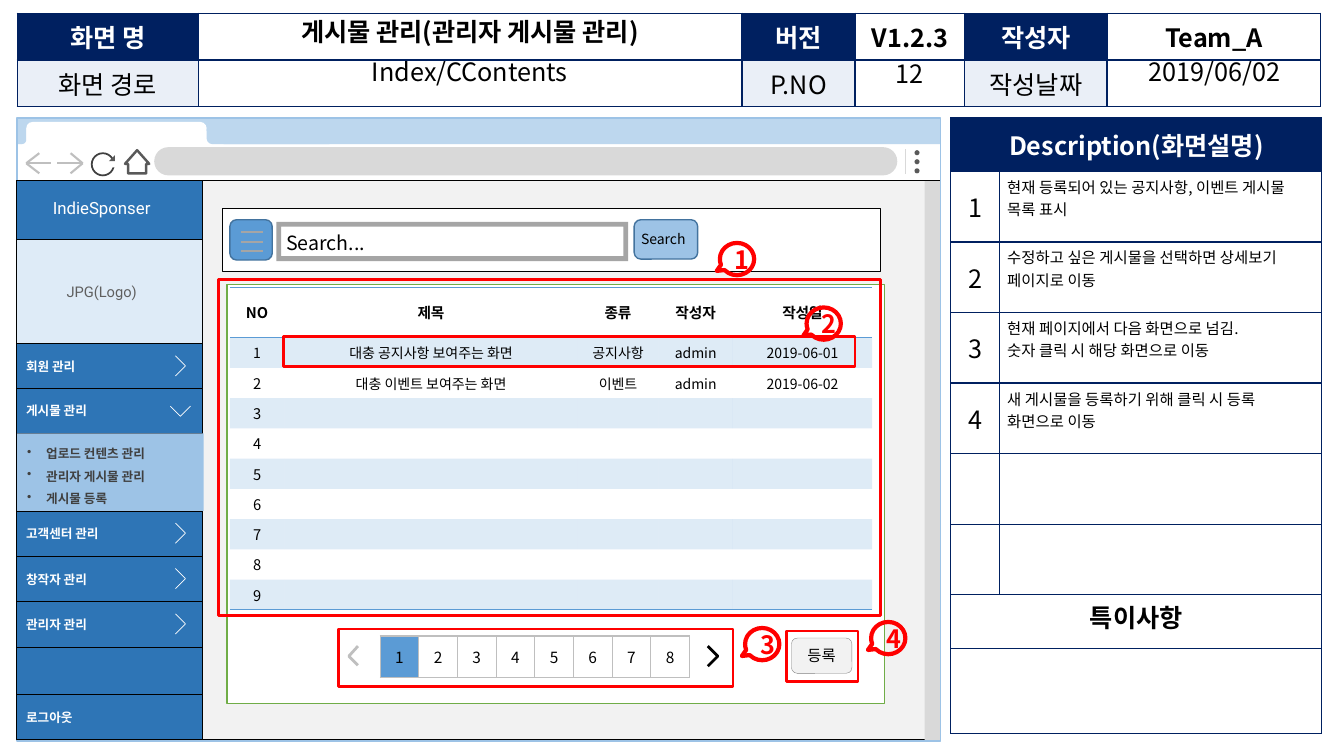
from pptx import Presentation
from pptx.dml.color import RGBColor
from pptx.enum.shapes import MSO_CONNECTOR, MSO_SHAPE
from pptx.enum.text import MSO_ANCHOR, PP_ALIGN
from pptx.oxml.ns import qn
from pptx.util import Inches, Pt
from lxml import etree

RECT, ROUND, OVAL = MSO_SHAPE.RECTANGLE, MSO_SHAPE.ROUNDED_RECTANGLE, MSO_SHAPE.OVAL
TRIANGLE, DOWN_ARROW = MSO_SHAPE.ISOSCELES_TRIANGLE, MSO_SHAPE.DOWN_ARROW
FRAME, CALLOUT = MSO_SHAPE.FRAME, MSO_SHAPE.OVAL_CALLOUT
STRAIGHT = MSO_CONNECTOR.STRAIGHT
TOP, MIDDLE = MSO_ANCHOR.TOP, MSO_ANCHOR.MIDDLE
LEFT, CENTER = PP_ALIGN.LEFT, PP_ALIGN.CENTER
NOTO, ROBOTO = "Noto Sans CJK KR", "Roboto"
NAVY, BLUE, SKY, RED = "002060", "2E75B6", "5B9BD5", "FF0000"
WHITE, BLACK, GREY = "FFFFFF", "000000", "BFBFBF"
MENU_INSETS = (0.1, 0.05, 0.25, 0.05)


def rgb(value):
    """Turn a hex string into a colour."""
    return RGBColor.from_string(value)


def write(tf, text, size=18, color=BLACK, bold=False, font=NOTO, align=CENTER,
          anchor=MIDDLE, insets=(0.1, 0.05, 0.1, 0.05), spacing=None, bullet=None):
    """Fill a text frame, one paragraph per line of text."""
    tf.word_wrap = True
    tf.vertical_anchor = anchor
    tf.margin_left, tf.margin_top, tf.margin_right, tf.margin_bottom = map(Inches, insets)
    for i, line in enumerate(text.split("\n")):
        p = tf.add_paragraph() if i else tf.paragraphs[0]
        p.alignment = align
        if spacing:
            p.line_spacing = spacing
        if bullet:
            pPr = p._p.get_or_add_pPr()
            pPr.set("marL", str(Inches(0.19)))
            pPr.set("indent", str(-Inches(0.19)))
            etree.SubElement(pPr, qn("a:buChar"), char=bullet)
        r = p.add_run()
        r.text = line
        r.font.size, r.font.bold, r.font.name = Pt(size), bold, font
        r.font.color.rgb = rgb(color)
        etree.SubElement(r._r.get_or_add_rPr(), qn("a:ea"), typeface=NOTO)


class Painter:
    """Draw styled elements on the current slide."""

    def __init__(self, slide):
        """Keep the slide's shapes."""
        self.shapes = slide.shapes

    def outline(self, sp, line, width):
        """Set or remove an outline."""
        if line:
            sp.line.color.rgb = rgb(line)
            sp.line.width = Pt(width)
        else:
            sp.line.fill.background()

    def shape(self, at, fill=None, line=None, width=0.5, kind=RECT, adj=(), rotation=0,
              text=None, **style):
        """Add a preset shape with optional text."""
        sp = self.shapes.add_shape(kind, *map(Inches, at))
        sp.shadow.inherit = False
        sp.rotation = rotation
        for i, value in enumerate(adj):
            sp.adjustments[i] = value
        if fill:
            sp.fill.solid()
            sp.fill.fore_color.rgb = rgb(fill)
        else:
            sp.fill.background()
        self.outline(sp, line, width)
        if text:
            write(sp.text_frame, text, **style)

    def text(self, at, text, **style):
        """Add a text box."""
        write(self.shapes.add_textbox(*map(Inches, at)).text_frame, text, **style)

    def line(self, start, end, color, width):
        """Add a straight line."""
        sp = self.shapes.add_connector(STRAIGHT, *map(Inches, start + end))
        self.outline(sp, color, width)
        etree.SubElement(sp._element.spPr, qn("a:effectLst"))

    def chevron(self, points, color=WHITE, width=0.5):
        """Add an open angle through three points."""
        pts = [(Inches(x), Inches(y)) for x, y in points]
        builder = self.shapes.build_freeform(*pts[0])
        builder.add_line_segments(pts[1:], close=False)
        sp = builder.convert_to_shape()
        sp.shadow.inherit = False
        sp.fill.background()
        self.outline(sp, color, width)

    def table(self, at, cols, rows):
        """Add a plain table with the given column widths and row heights."""
        x, y = map(Inches, at)
        table = self.shapes.add_table(len(rows), len(cols), x, y, Inches(sum(cols)),
                                      Inches(sum(rows))).table
        table.first_row = table.horz_banding = False
        for column, width in zip(table.columns, cols):
            column.width = Inches(width)
        for row, height in zip(table.rows, rows):
            row.height = Inches(height)
        return table

    def cell(self, cell, text="", fill=None, alpha=None, line=NAVY, sides="LRTB", **style):
        """Style one cell with its borders, fill and text."""
        tcPr = cell._tc.get_or_add_tcPr()
        for side in "LRTB":
            ln = etree.SubElement(tcPr, qn("a:ln" + side), w=str(Pt(1)))
            if side in sides:
                solid = etree.SubElement(ln, qn("a:solidFill"))
                etree.SubElement(solid, qn("a:srgbClr"), val=line)
            else:
                etree.SubElement(ln, qn("a:noFill"))
        if fill:
            cell.fill.solid()
            cell.fill.fore_color.rgb = rgb(fill)
            if alpha:
                etree.SubElement(tcPr.find(qn("a:solidFill"))[0], qn("a:alpha"),
                                 val=str(alpha * 1000))
        else:
            cell.fill.background()
        if text:
            write(cell.text_frame, text, **style)
            cell.vertical_anchor = style.get("anchor", MIDDLE)
            insets = style.get("insets", (0.08, 0.04, 0.08, 0.04))
            cell.margin_left, cell.margin_top, cell.margin_right, cell.margin_bottom = map(
                Inches, insets)
        else:
            cell.margin_top = cell.margin_bottom = 0
            etree.SubElement(cell.text_frame.paragraphs[0]._p, qn("a:endParaRPr"), sz="1000")


def draw_browser(s):
    """Draw the browser window and its toolbar."""
    s.shape((0.16, 1.78, 9.16, 5.56), "F2F2F2", BLACK)
    s.shape((9.17, 1.79, 0.16, 5.55), "D9D9D9")
    s.shape((0.17, 1.42, 9.16, 0.37), WHITE, BLACK)
    s.shape((1.53, 1.46, 7.37, 0.28), "D9D9D9", kind=ROUND, adj=[0.5])
    for i in range(3):
        s.shape((9.07, 1.49 + 0.09 * i, 0.05, 0.05), "595959", kind=OVAL)
    s.line((8.98, 1.48), (8.98, 1.73), "D9D9D9", 1)
    s.shape((0.17, 1.17, 9.16, 0.26), "BDD7EE")
    for tip, tail, head in [(0.26, 0.51, 0.39), (0.82, 0.57, 0.7)]:
        for end in [(tail, 1.62), (head, 1.52), (head, 1.72)]:
            s.line((tip, 1.62), end, GREY, 1.5)
    s.shape((0.91, 1.52, 0.22, 0.22), None, "404040", 1.25, OVAL)
    s.shape((1.09, 1.58, 0.08, 0.08), WHITE)
    s.shape((1.08, 1.54, 0.06, 0.06), "595959", kind=TRIANGLE, adj=[1])
    s.shape((1.24, 1.49, 0.24, 0.23), WHITE, "595959", 1.75, DOWN_ARROW, [0.75, 0.586], 180)
    for at, fill, adj in [((0.26, 1.21, 1.79, 0.23), WHITE, 0.276),
                          ((1.88, 1.3, 0.34, 0.15), WHITE, 0.167),
                          ((2.05, 1.23, 1.27, 0.2), "BDD7EE", 0.276),
                          ((0.21, 1.3, 0.13, 0.15), WHITE, 0.167),
                          ((0.17, 1.23, 0.09, 0.2), "BDD7EE", 0.462)]:
        s.shape(at, fill, kind=ROUND, adj=[adj])
    s.shape((0.17, 1.17, 9.16, 6.18), None, "9DC3E6", 1)


def draw_header(s):
    """Draw the document header table."""
    table = s.table((0.17, 0.13), [1.8, 5.39, 1.12, 1.09, 1.41, 2.12], [0.465, 0.465])
    rows = [["화면 명", "", "버전", "V1.2.3", "작성자", "Team_A"],
            ["화면 경로", "", "P.NO", "", "작성날짜", ""]]
    for i, row in enumerate(rows):
        for j, text in enumerate(row):
            label = j % 2 == 0
            fill = (NAVY, "EAEFF7")[i] if label else WHITE
            s.cell(table.cell(i, j), text, fill, bold=i == 0,
                   color=WHITE if label and i == 0 else BLACK)


def draw_menu(s):
    """Draw the side menu."""
    s.shape((0.16, 1.79, 1.85, 5.55), BLUE, BLACK, text="IndieSponser", size=12, color=WHITE,
            font=ROBOTO, anchor=TOP, insets=(0.1, 0.17, 0.25, 0.05))
    s.shape((0.16, 2.38, 1.85, 1.03), "DEEBF7", BLACK, text="JPG(Logo)", size=10.5,
            color="5F5F5F", font=ROBOTO, insets=MENU_INSETS)
    label = dict(size=9, bold=True, font=ROBOTO, align=LEFT, insets=MENU_INSETS)
    for y, text in [(6.89, "로그아웃"), (3.41, "회원 관리"), (3.85, "게시물 관리"),
                    (5.07, "고객센터 관리"), (5.52, "창작자 관리"), (5.97, "관리자 관리")]:
        s.shape((0.16, y, 1.85, 0.45), BLUE, BLACK, text=text, color=WHITE, **label)
    for y in (3.63, 5.29, 5.74, 6.19):
        s.chevron([(1.74, y + 0.1), (1.84, y), (1.74, y - 0.1)])
    s.chevron([(1.69, 4.03), (1.79, 4.13), (1.89, 4.03)])
    s.shape((0.17, 4.3, 1.85, 0.77), "9DC3E6", color="404040", spacing=1.5, bullet="•",
            text="업로드 컨텐츠 관리\n관리자 게시물 관리\n게시물 등록", **label)


def draw_description(s):
    """Draw the description table."""
    table = s.table((9.43, 1.17), [0.48, 3.2], [0.53] + [0.7] * 6 + [0.53, 0.85])
    for i in (0, 7, 8):
        table.cell(i, 0).merge(table.cell(i, 1))
    notes = ["현재 등록되어 있는 공지사항, 이벤트 게시물 목록 표시",
             "수정하고 싶은 게시물을 선택하면 상세보기 페이지로 이동",
             "현재 페이지에서 다음 화면으로 넘김.\n숫자 클릭 시 해당 화면으로 이동",
             "새 게시물을 등록하기 위해 클릭 시 등록 화면으로 이동", "", ""]
    insets = (0.08, 0.04, 0.08, 0.04)
    s.cell(table.cell(0, 0), "Description(화면설명)", NAVY, color=WHITE, bold=True)
    for i, note in enumerate(notes, 1):
        s.cell(table.cell(i, 0), str(i) if note else "", insets=insets)
        s.cell(table.cell(i, 1), note, size=11, align=LEFT, anchor=TOP, insets=insets)
    s.cell(table.cell(7, 0), "특이사항", bold=True, anchor=TOP, insets=insets)
    for i, j in [(8, 0), (0, 1), (7, 1), (8, 1)]:
        s.cell(table.cell(i, j))


def draw_board(s):
    """Draw the search bar, post list and pager."""
    s.shape((2.21, 2.07, 6.52, 0.62), WHITE, BLACK)
    s.shape((2.28, 2.18, 0.42, 0.4), SKY, "43739E", 1, ROUND)
    for y in (2.3, 2.4, 2.49):
        s.line((2.39, y), (2.61, y), "A5A5A5", 1.5)
    s.shape((2.74, 2.2, 3.49, 0.39), "A5A5A5", kind=FRAME, adj=[0.125])
    s.text((2.74, 2.24, 1.11, 0.34), "Search...", size=14, align=LEFT, anchor=TOP)
    s.shape((6.29, 2.18, 0.63, 0.39), "9DC3E6", "43739E", 1, ROUND)
    s.text((6.26, 2.24, 0.76, 0.27), "Search", size=10, align=LEFT, anchor=TOP)
    s.shape((2.25, 2.82, 6.52, 4.16), WHITE, "70AD47", 1)
    s.shape((2.17, 2.77, 6.56, 3.34), None, RED, 2)
    posts = [["NO", "제목", "종류", "작성자", "작성일"],
             ["1", "대충 공지사항 보여주는 화면", "공지사항", "admin", "2019-06-01"],
             ["2", "대충 이벤트 보여주는 화면", "이벤트", "admin", "2019-06-02"]]
    posts += [[str(n)] + [""] * 4 for n in range(3, 10)]
    table = s.table((2.28, 2.85), [0.54, 2.91, 0.8, 0.74, 1.38], [0.5] + [0.3] * 9)
    for i, row in enumerate(posts):
        for j, text in enumerate(row):
            s.cell(table.cell(i, j), text, SKY if i % 2 else None, 20, SKY,
                   {0: "TB", 1: "T", 9: "B"}.get(i, ""), bold=i == 0,
                   size=10.5 if i == 0 or (j == 0 and i > 1) else 10,
                   insets=(0.1, 0.03, 0.1, 0.03))
    s.shape((2.81, 3.34, 5.67, 0.3), None, RED, 2)
    pager = s.table((3.77, 6.31), [3.07 / 8] * 8, [0.41])
    for i in range(8):
        s.cell(pager.cell(0, i), str(i + 1), WHITE if i else SKY, line=GREY, size=11)
    s.chevron([(7.02, 6.61), (7.12, 6.51), (7.02, 6.41)], BLACK, 2)
    s.chevron([(3.55, 6.41), (3.46, 6.51), (3.55, 6.6)], GREY, 2)
    s.shape((3.36, 6.24, 3.91, 0.57), None, RED, 2)
    s.shape((7.8, 6.26, 0.71, 0.5), None, RED, 2)
    s.shape((7.85, 6.33, 0.6, 0.35), "F2F2F2", "808080", 0.25, ROUND, text="등록", size=11,
            font=ROBOTO, insets=(0.1, 0, 0.1, 0.01))
    for n, (x, y) in enumerate([(7.14, 2.41), (8, 3.05), (7.39, 6.23), (8.64, 6.17)], 1):
        s.shape((x, y, 0.34, 0.32), None, RED, 3, CALLOUT, [-0.593, 0.369], text=str(n),
                color=RED, bold=True)


def main():
    """Build and save the slide."""
    prs = Presentation()
    prs.slide_width, prs.slide_height = Inches(13.33), Inches(7.5)
    s = Painter(prs.slides.add_slide(prs.slide_layouts[6]))
    draw_browser(s)
    draw_header(s)
    draw_menu(s)
    draw_description(s)
    s.text((1.97, 0.14, 5.38, 0.38), "게시물 관리(관리자 게시물 관리)", bold=True, spacing=0.9)
    s.text((1.97, 0.54, 5.38, 0.38), "Index/CContents", spacing=0.9)
    s.text((10.99, 0.54, 2.11, 0.38), "2019/06/02", spacing=0.9)
    draw_board(s)
    s.text((8.48, 0.54, 1.08, 0.38), "12")
    prs.save("out.pptx")


if __name__ == "__main__":
    main()
